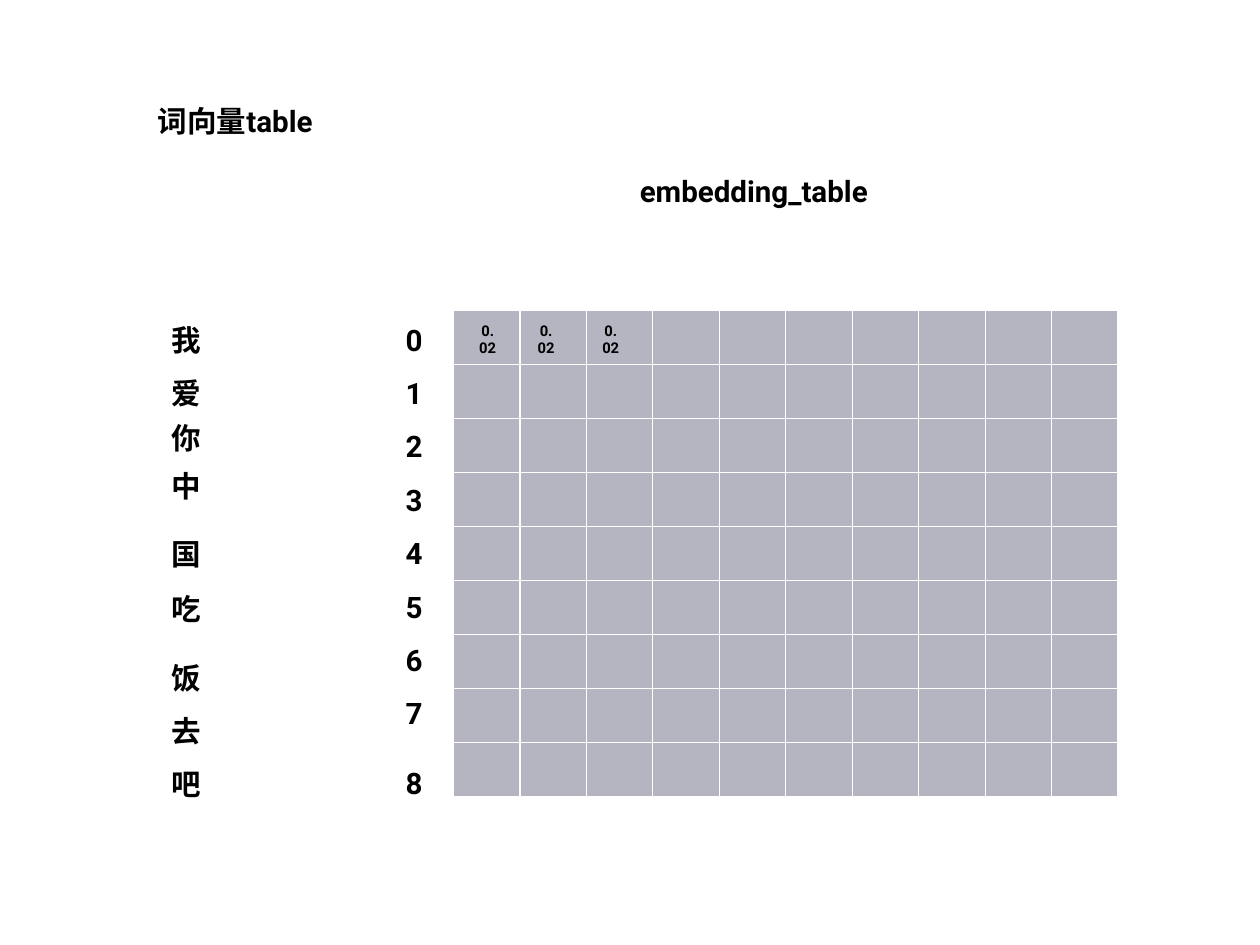
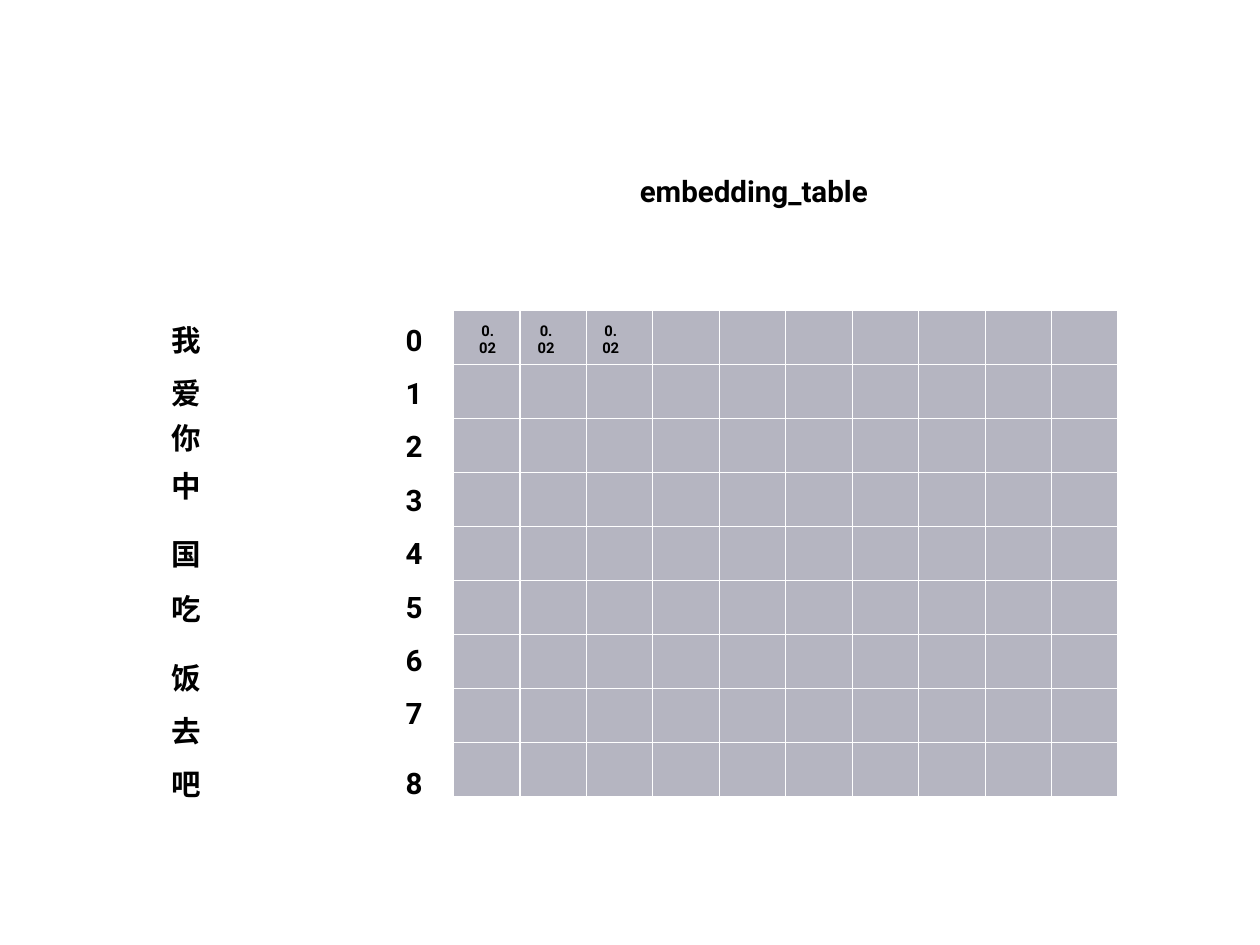
import pptx
import pptx.dml.color
import pptx.enum.text
import pptx.oxml
import pptx.oxml.ns
import pptx.util

Pt = pptx.util.Pt
RGB = pptx.dml.color.RGBColor
BLACK = RGB(0x00, 0x00, 0x00)
WHITE = RGB(0xFF, 0xFF, 0xFF)
GREY = RGB(0xB5, 0xB5, 0xC1)

FONT = {"name": "Roboto", "bold": True}
INSET = Pt(4)
FRAME = {
    "margin_left": INSET, "margin_right": INSET,
    "margin_top": INSET, "margin_bottom": INSET,
    "vertical_anchor": pptx.enum.text.MSO_ANCHOR.MIDDLE,
    "auto_size": pptx.enum.text.MSO_AUTO_SIZE.SHAPE_TO_FIT_TEXT,
}

# Tops of the words, measured from the top of the table
WORDS = {"我": 3.6, "爱": 46.8, "你": 83.5, "中": 122.4, "国": 177.1,
         "吃": 222.5, "饭": 277.9, "去": 321.1, "吧": 364.3}
INDEX_TOPS = [5.8 + 43.4 * i for i in range(8)] + [366.5]
VALUE_LEFTS = [16.6, 64.1, 116.6]


def set_all(obj, values):
    for name, value in values.items():
        setattr(obj, name, value)


def write(sp, text, size=24, wrap=False):
    tf = sp.text_frame
    set_all(tf, FRAME)
    tf.word_wrap = wrap
    p = tf.paragraphs[0]
    p.alignment = pptx.enum.text.PP_ALIGN.CENTER
    r = p.add_run()
    r.text = text
    set_all(r.font, FONT)
    r.font.size = Pt(size)
    r.font.color.rgb = BLACK


def label(slide, text, x, y, w, h, **style):
    sp = slide.shapes.add_textbox(Pt(x), Pt(y), Pt(w), Pt(h))
    write(sp, text, **style)


def title(slide, text, x, y, w, h):
    sp = slide.shapes.title
    set_all(sp, {"left": Pt(x), "top": Pt(y), "width": Pt(w), "height": Pt(h)})
    write(sp, text)


def border(cell):
    tc_pr = cell._tc.get_or_add_tcPr()
    for i, side in enumerate(("lnL", "lnR", "lnT", "lnB")):
        tc_pr.insert(i, pptx.oxml.parse_xml(
            f'<a:{side} {pptx.oxml.ns.nsdecls("a")} w="{Pt(1)}"><a:solidFill>'
            f'<a:srgbClr val="{WHITE}"/></a:solidFill></a:{side}>'))


def grid(slide, x, y, rows=9, cols=10, col_w=54, row_h=43.9):
    table = slide.shapes.add_table(rows, cols, Pt(x), Pt(y),
                                   Pt(cols * col_w), Pt(rows * row_h)).table
    set_all(table, {"first_row": False, "horz_banding": False})
    for col in table.columns:
        col.width = Pt(col_w)
    for row in table.rows:
        row.height = Pt(row_h)
    for cell in table.iter_cells():
        cell.fill.solid()
        cell.fill.fore_color.rgb = GREY
        border(cell)


def embedding_panel(slide, x, y):
    """Table at (x, y) with its title above and words and indices to the left."""
    grid(slide, x, y)
    title(slide, "embedding_table", x + 141, y - 115, 206, 36)
    for word, top in WORDS.items():
        label(slide, word, x - 234, y + top, 33, 41)
    for i, top in enumerate(INDEX_TOPS):
        label(slide, str(i), x - 43, y + top, 22, 36)
    for left in VALUE_LEFTS:
        label(slide, "0.02", x + left, y + 5, 22.3, 37.4, size=12, wrap=True)


def main():
    prs = pptx.Presentation()
    set_all(prs, {"slide_width": Pt(1024), "slide_height": Pt(768)})
    for heading in ("词向量table", None):
        slide = prs.slides.add_slide(prs.slide_layouts[5])
        if heading:
            label(slide, heading, 122.4, 77.8, 137.5, 41)
        embedding_panel(slide, 368.6, 252)
    prs.save("out.pptx")


if __name__ == "__main__":
    main()
